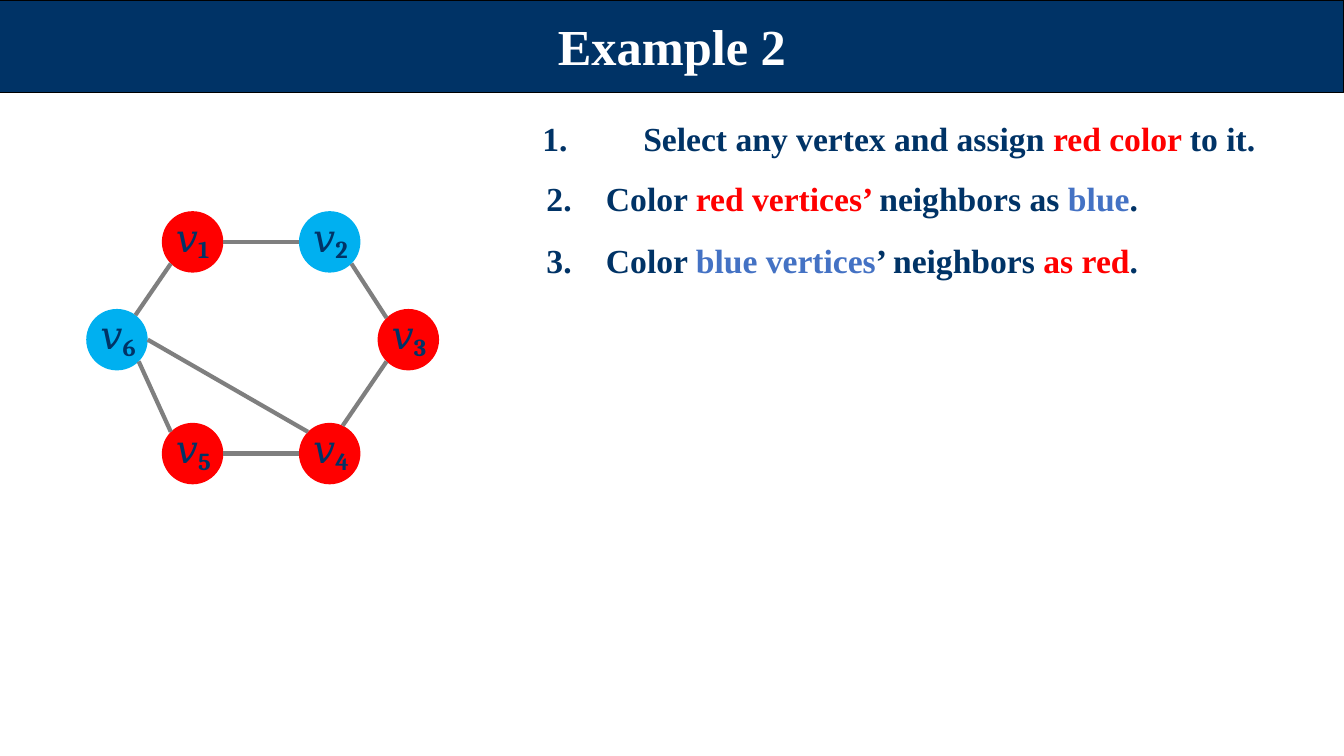
"""Build a slide that two-colours the vertices of a six-vertex graph."""
from math import cos, radians, sin

from lxml import etree
from pptx import Presentation, util as u
from pptx.dml.color import RGBColor
from pptx.enum import shapes, text
from pptx.oxml.ns import qn

NAVY = RGBColor(0x00, 0x33, 0x66)
RED = RGBColor(0xFF, 0x00, 0x00)
SKY = RGBColor(0x00, 0xB0, 0xF0)
BLUE = RGBColor(0x44, 0x72, 0xC4)
GREY = RGBColor(0x7F, 0x7F, 0x7F)
BLACK = RGBColor(0x00, 0x00, 0x00)
WHITE = RGBColor(0xFF, 0xFF, 0xFF)

WIDTH, HEIGHT = 13.33, 7.5
COLS = (1.16, 1.91, 3.27, 4.05)
ROWS = (2.4, 3.37, 4.5)
DIAMETER = 0.61

VERTICES = {
    "1": (1, 0, RED),
    "2": (2, 0, SKY),
    "3": (3, 1, RED),
    "4": (2, 2, RED),
    "5": (1, 2, RED),
    "6": (0, 1, SKY),
}
EDGES = (
    ("1", 0, "2", 180),
    ("2", 45, "3", 225),
    ("3", 135, "4", 295),
    ("4", 180, "5", 0),
    ("5", 225, "6", 45),
    ("6", 307, "1", 135),
    ("6", 0, "4", 225),
)
STEPS = (
    (4.94, 0, 0, 30, (("1.\tSelect any vertex and assign ", NAVY),
                      ("red color ", RED), ("to it.", NAVY))),
    (4.57, 0.41, 14, 29, (("2.\tColor ", NAVY), ("red vertices’ ", RED),
                          ("neighbors as ", NAVY), ("blue", BLUE), (".", NAVY))),
    (4.57, 0.41, 15.4, 29, (("3.\tColor ", NAVY), ("blue vertices", BLUE),
                            ("’ neighbors ", NAVY), ("as red", RED), (".", NAVY))),
)


def add_text_box(s, x, y, w, h, top=0.01):
    """Add a wrapping text box with no side insets and return its frame."""
    tf = s.shapes.add_textbox(*map(u.Inches, (x, y, w, h))).text_frame
    tf.word_wrap = True
    tf.margin_left = tf.margin_right = tf.margin_bottom = 0
    tf.margin_top = u.Inches(top)
    return tf


def set_font(font, name, size, color=None):
    """Set a bold font with the given face, size and colour."""
    font.name, font.size, font.bold = name, u.Pt(size), True
    if color is not None:
        font.color.rgb = color


def add_filled(s, kind, x, y, w, h, color):
    """Add a flat preset shape without an outline."""
    sp = s.shapes.add_shape(kind, *map(u.Inches, (x, y, w, h)))
    sp.shadow.inherit = False
    sp.fill.solid()
    sp.fill.fore_color.rgb = color
    sp.line.fill.background()
    return sp


def add_header(s, title):
    """Add the title band across the top of the slide."""
    band = add_filled(s, shapes.MSO_SHAPE.RECTANGLE, 0, 0, WIDTH, 0.92, NAVY)
    band.line.color.rgb = BLACK
    band.line.width = u.Pt(0.75)
    tf = add_text_box(s, 5.35, 0.13, 2.63, 0.63)
    tf.vertical_anchor = text.MSO_ANCHOR.MIDDLE
    p = tf.paragraphs[0]
    p.text, p.alignment = title, text.PP_ALIGN.CENTER
    set_font(p.font, "Times New Roman", 36, WHITE)


def add_vertex(s, name, col, row, color):
    """Add a coloured vertex and its subscripted label."""
    x, y = COLS[col] - DIAMETER / 2, ROWS[row] - DIAMETER / 2
    add_filled(s, shapes.MSO_SHAPE.OVAL, x, y, DIAMETER, DIAMETER, color)
    p = add_text_box(s, x + 0.1, y - 0.02, 0.45, 0.49).paragraphs[0]
    p._p.get_or_add_pPr().set("marL", str(u.Inches(0.04)))
    for label, size in (("𝑣", 28), (name, 30)):
        r = p.add_run()
        r.text = label
        set_font(r.font, "Cambria", size, NAVY)
    r.font._element.set("baseline", "-15000")


def rim_point(name, angle):
    """Return the point on a vertex's rim at a clockwise angle from the right."""
    col, row, _ = VERTICES[name]
    turn = radians(angle)
    return (u.Inches(COLS[col] + DIAMETER / 2 * cos(turn)),
            u.Inches(ROWS[row] + DIAMETER / 2 * sin(turn)))


def add_edge(s, start, start_angle, end, end_angle):
    """Join two vertices with a grey line."""
    edge = s.shapes.add_connector(shapes.MSO_CONNECTOR.STRAIGHT,
                                  *rim_point(start, start_angle),
                                  *rim_point(end, end_angle))
    edge.line.color.rgb = GREY
    edge.line.width = u.Pt(3)
    etree.SubElement(edge._element.spPr, qn("a:effectLst"))


def add_steps(s, steps):
    """Add the numbered colouring steps."""
    tf = add_text_box(s, 0.44, 1.08, 12.56, 1.71, top=0.07)
    for i, (margin, indent, before, spacing, runs) in enumerate(steps):
        p = tf.add_paragraph() if i else tf.paragraphs[0]
        pPr = p._p.get_or_add_pPr()
        pPr.set("marL", str(u.Inches(margin)))
        pPr.set("indent", str(u.Inches(indent)))
        pPr.set("defTabSz", str(u.Inches(1)))
        p.line_spacing = u.Pt(spacing)
        if before:
            p.space_before = u.Pt(before)
        set_font(p.font, "Times New Roman", 24)
        for words, color in runs:
            r = p.add_run()
            r.text = words
            r.font.color.rgb = color


def main():
    """Build and save the slide."""
    prs = Presentation()
    prs.slide_width, prs.slide_height = u.Inches(WIDTH), u.Inches(HEIGHT)
    s = prs.slides.add_slide(prs.slide_layouts[6])
    add_header(s, "Example 2")
    for name, vertex in VERTICES.items():
        add_vertex(s, name, *vertex)
    for edge in EDGES:
        add_edge(s, *edge)
    add_steps(s, STEPS)
    prs.save("out.pptx")


if __name__ == "__main__":
    main()
